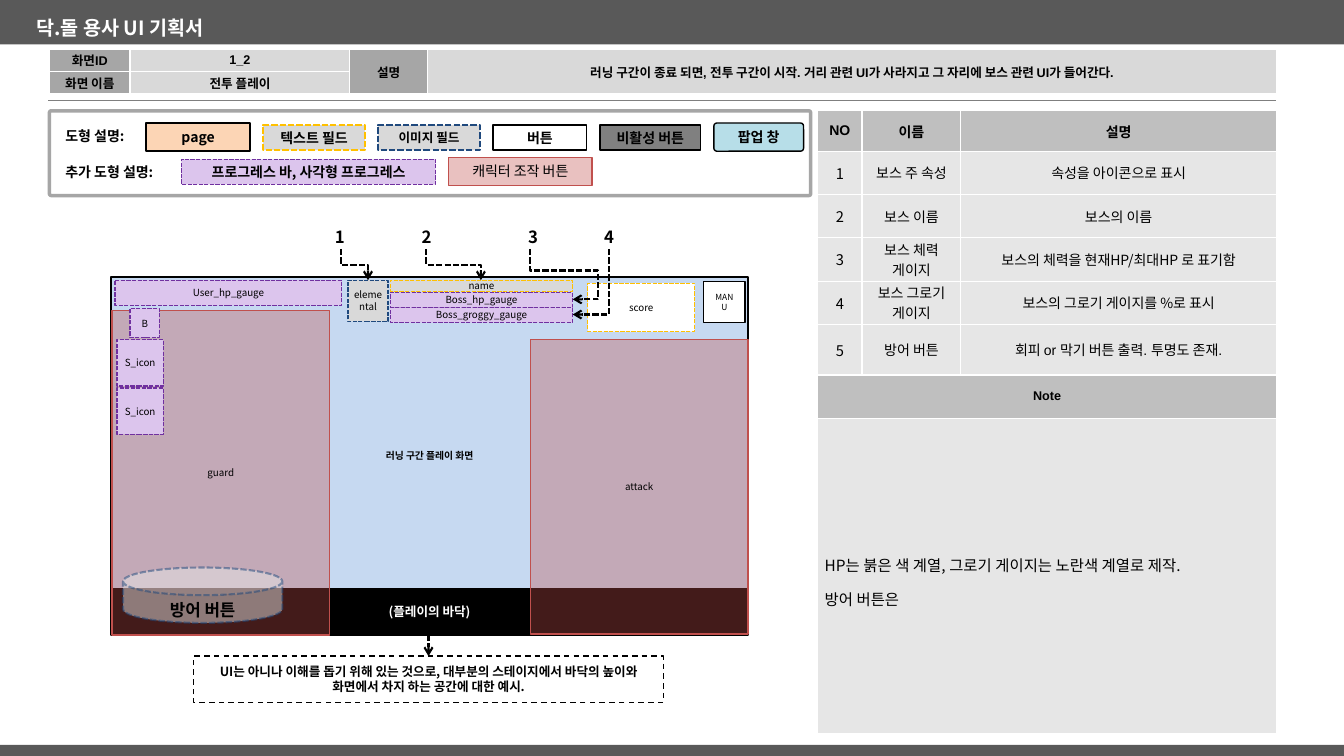
from pptx import Presentation, util as u
from pptx.dml.color import RGBColor
from pptx.enum import dml, shapes, text
from pptx.oxml import parse_xml
from pptx.oxml.ns import nsdecls, qn
from lxml import etree

# Theme
T = dict(font="Noto Sans CJK KR", latin="Arial", ink="000000", white="FFFFFF",
         bar="595959", rule="7F7F7F", frame="A6A6A6", head="BFBFBF",
         body="E6E6E6", pale="D9D9D9", title=14, mark=12, note=11, num=10.5,
         base=10, small=9, tiny=7, micro=6)
DASH, LONG = dml.MSO_LINE.SQUARE_DOT, dml.MSO_LINE.DASH
RECT, CAN = shapes.MSO_SHAPE.RECTANGLE, shapes.MSO_SHAPE.CAN
ROUND = shapes.MSO_SHAPE.ROUNDED_RECTANGLE

# Looks: fill, line, dash, fill opacity in percent
LOOK = {
    "page": ("FCD5B5", T["ink"], None, 100),
    "text": (T["pale"], "FFC000", DASH, 100),
    "image": (T["pale"], "1F497D", DASH, 100),
    "button": (T["white"], T["ink"], None, 100),
    "off": ("808080", T["ink"], None, 100),
    "popup": ("B7DEE8", T["ink"], None, 100),
    "gauge": ("DCC5ED", "7030A0", DASH, 100),
    "touch": ("C0504D", "C0504D", None, 35),
    "score": (T["white"], "FFC000", DASH, 100),
    "field": ("C6D9F1", T["ink"], None, 100),
    "floor": (T["ink"], T["ink"], None, 100),
    "remark": (T["white"], T["ink"], LONG, 100),
    "guard": (T["pale"], "1F497D", DASH, 50),
    "plain": (T["white"], None, None, 100),
    "bar": (T["bar"], None, None, 100),
    "frame": (None, T["frame"], None, 100),
}

# Content
TITLE = "닥.돌 용사 UI 기획서"
INFO = [["화면ID", "1_2", "설명", "러닝 구간이 종료 되면, 전투 구간이 시작. 거리 관련 UI가 "
         "사라지고 그 자리에 보스 관련 UI가 들어간다."],
        ["화면 이름", "전투 플레이", "", ""]]
SPEC = [["NO", "이름", "설명"],
        ["1", "보스 주 속성", "속성을 아이콘으로 표시"],
        ["2", "보스 이름", "보스의 이름"],
        ["3", "보스 체력 게이지", "보스의 체력을 현재HP/최대HP 로 표기함"],
        ["4", "보스 그로기 게이지", "보스의 그로기 게이지를 %로 표시"],
        ["5", "방어 버튼", "회피 or 막기 버튼 출력. 투명도 존재."],
        ["Note", "", ""],
        ["HP는 붉은 색 계열, 그로기 게이지는 노란색 계열로 제작.\n방어 버튼은", "", ""]]
LABELS = [("도형 설명:", 1.22, 0.85), ("추가 도형 설명:", 1.57, 1.18)]
LEGEND = [
    ("page", "page", (1.45, 1.22, 1.03, 0.28), {}),
    ("버튼", "button", (4.89, 1.24, 0.93, 0.25), {}),
    ("팝업 창", "popup", (7.08, 1.22, 0.89, 0.28),
     dict(form=ROUND, adj=0.109, top=True)),
    ("텍스트 필드", "text", (2.61, 1.24, 1.01, 0.25), dict(wide=1.5)),
    ("비활성 버튼", "off", (5.95, 1.24, 1, 0.25), {}),
    ("", "frame", (0.49, 1.1, 7.55, 0.84), dict(form=ROUND, adj=0.021, wide=2.5)),
    ("이미지 필드", "image", (3.75, 1.24, 1.01, 0.25),
     dict(wide=1.5, size=T["small"])),
    ("프로그레스 바, 사각형 프로그레스", "gauge", (1.8, 1.58, 2.52, 0.25), {}),
    ("캐릭터 조작 버튼", "touch", (4.45, 1.56, 1.42, 0.28), dict(bold=False)),
]
MOCK = [
    ("러닝 구간 플레이 화면", "field", (1.1, 2.75, 6.32, 3.54), dict(bold=True)),
    ("(플레이의 바닥)", "floor", (1.1, 5.84, 6.32, 0.46),
     dict(bold=True, size=T["small"], color=T["white"])),
    ("guard", "touch", (1.11, 3.08, 2.16, 3.22), {}),
    ("attack", "touch", (5.26, 3.37, 2.16, 2.92), {}),
    ("score", "score", (5.83, 2.81, 1.06, 0.48), {}),
    ("B", "gauge", (1.29, 3.06, 0.29, 0.29), {}),
    ("S_icon", "gauge", (1.16, 3.37, 0.46, 0.46), dict(pad=0.04)),
    ("S_icon", "gauge", (1.16, 3.85, 0.46, 0.46), dict(pad=0.04)),
    ("User_hp_gauge", "gauge", (1.14, 2.78, 2.25, 0.25), {}),
    ("MANU", "button", (6.98, 2.79, 0.41, 0.41), dict(size=T["micro"])),
    ("UI는 아니나 이해를 돕기 위해 있는 것으로, 대부분의 스테이지에서 바닥의 높이와 "
     "화면에서 차지 하는 공간에 대한 예시.", "remark", (1.92, 6.51, 4.66, 0.46),
     dict(bold=True, size=T["small"])),
    ("Boss_hp_gauge", "gauge", (3.87, 2.9, 1.81, 0.15), {}),
    ("Boss_groggy_gauge", "gauge", (3.87, 3.05, 1.81, 0.15), {}),
    ("name", "text", (3.87, 2.78, 1.81, 0.11), {}),
    ("elemental", "image", (3.45, 2.78, 0.4, 0.41), dict(pad=0.04)),
    ("방어 버튼", "guard", (1.22, 5.63, 1.58, 0.55),
     dict(form=CAN, adj=0.5, wide=1.5, size=T["mark"], bold=True, top=True)),
]
MARKS = [("1", 2.98, 0.78), ("2", 3.84, 0.78), ("3", 5.14, 0.25), ("4", 5.65, 0.78)]
# Arrows leave downward: start, end, bend shares
ARROWS = [((4.25, 6.3), (4.25, 6.51), None),
          ((3.38, 2.47), (3.65, 2.78), [0.5]),
          ((4.23, 2.47), (4.77, 2.78), [0.5]),
          ((5.26, 2.47), (5.68, 2.97), [0.428, 1.605]),
          ((6.04, 2.47), (5.68, 3.12), [])]

deck = Presentation()
deck.slide_width, deck.slide_height = u.Inches(13.33), u.Inches(7.5)
page = deck.slides.add_slide(deck.slide_layouts[5])
pool = page.shapes


def rgb(code):
    return RGBColor.from_string(code)


def box(*nums):
    return [u.Inches(n) for n in nums]


def write(frame, words, size, bold=False, color=T["ink"], font=T["font"],
          align=text.PP_ALIGN.CENTER, gap=None):
    for i, line in enumerate(words.split("\n")):
        para = frame.paragraphs[0] if i == 0 else frame.add_paragraph()
        para.alignment, para.line_spacing = align, gap
        run = para.add_run()
        run.text = line
        run.font.color.rgb = rgb(color)
        for key, val in dict(size=u.Pt(size), bold=bold, name=font).items():
            setattr(run.font, key, val)
        east = etree.SubElement(run.font._element, qn("a:ea"))
        east.set("typeface", T["font"])


def fade(item, share):
    for tint in item._element.spPr.iter(qn("a:srgbClr")):
        etree.SubElement(tint, qn("a:alpha")).set("val", str(share * 1000))


def block(words, look, area, form=RECT, adj=None, wide=1, pad=None, top=False, **type_):
    fill, edge, dash, share = LOOK[look]
    item = pool.add_shape(form, *box(*area))
    item.shadow.inherit = False
    if adj is not None:
        item.adjustments[0] = adj
    if fill:
        item.fill.solid()
        item.fill.fore_color.rgb = rgb(fill)
    else:
        item.fill.background()
    if share < 100 and look != "guard":
        fade(item, share)
    if edge:
        item.line.color.rgb = rgb(edge)
        item.line.width, item.line.dash_style = u.Pt(wide), dash
    else:
        item.line.fill.background()
    if look == "guard":
        fade(item, share)
    frame = item.text_frame
    frame.word_wrap = True
    frame.vertical_anchor = text.MSO_ANCHOR.TOP if top else text.MSO_ANCHOR.MIDDLE
    if pad is not None:
        frame.margin_left = frame.margin_right = u.Inches(pad)
    if words:
        write(frame, words, **type_)


def link(start, end, color, wide, kind=shapes.MSO_CONNECTOR.STRAIGHT):
    item = pool.add_connector(kind, *box(*start, *end))
    item.line.color.rgb, item.line.width = rgb(color), u.Pt(wide)
    return item


def arrow(start, end, bends):
    (x1, y1), (x2, y2) = start, end
    if bends is None:
        item = link(start, end, T["ink"], 1.5)
    else:
        # A quarter turn makes the elbow leave downward
        mx, my, dx, dy = (x1 + x2) / 2, (y1 + y2) / 2, abs(x2 - x1) / 2, (y2 - y1) / 2
        item = link((mx - dy, my - dx), (mx + dy, my + dx), T["ink"], 1.5,
                    shapes.MSO_CONNECTOR.ELBOW)
        right, props = x2 > x1, item._element.spPr
        form = props.find(qn("a:xfrm"))
        form.set("rot", str((270 if right else 90) * 60000))
        if right:
            form.set("flipH", "1")
        geom = props.find(qn("a:prstGeom"))
        geom.set("prst", f"bentConnector{len(bends) + 2}")
        for i, bend in enumerate(bends, 1):
            guide = etree.SubElement(geom.find(qn("a:avLst")), qn("a:gd"))
            guide.set("name", f"adj{i}")
            guide.set("fmla", f"val {round(bend * 100000)}")
    item.line.dash_style = DASH
    etree.SubElement(item.line._get_or_add_ln(), qn("a:tailEnd")).set("type", "arrow")
    etree.SubElement(item._element.spPr, qn("a:effectLst"))


def grid(rows, area, cols, highs, merges, style):
    table = pool.add_table(len(rows), len(cols), *box(*area)).table
    table.first_row = table.horz_banding = False
    for part, sizes, key in ((table.columns, cols, "width"), (table.rows, highs, "height")):
        for one, size in zip(part, sizes):
            setattr(one, key, u.Inches(size))
    for a, b in merges:
        table.cell(*a).merge(table.cell(*b))
    for r, row in enumerate(rows):
        for c, words in enumerate(row):
            cell = table.cell(r, c)
            fill, pad, type_ = style(r, c)
            cell.vertical_anchor = text.MSO_ANCHOR.MIDDLE
            cell.margin_left = cell.margin_right = u.Inches(pad)
            cell.margin_top = cell.margin_bottom = u.Inches(0.01)
            cell.fill.solid()
            cell.fill.fore_color.rgb = rgb(fill)
            for i, side in enumerate("LRTB"):
                cell._tc.tcPr.insert(i, parse_xml(
                    f'<a:ln{side} {nsdecls("a")} w="12700"><a:solidFill>'
                    f'<a:srgbClr val="{T["white"]}"/></a:solidFill></a:ln{side}>'))
            if words:
                write(cell.text_frame, words, **type_)


def info_style(r, c):
    return (T["pale"] if c % 2 else T["frame"], 0.04,
            dict(size=T["small"], bold=True, font=T["latin"]))


def spec_style(r, c):
    if r in (0, 6):
        size = T["small"] if r else T["base"]
        return T["head"], 0.04, dict(size=size, bold=True, font=T["latin"])
    if r == 7:
        return T["body"], 0.07, dict(size=T["note"], gap=1.5, align=text.PP_ALIGN.LEFT)
    return (T["body"], 0.04, dict(size=T["base"] if c else T["num"],
                                  font=T["latin"] if (r, c) == (5, 2) else T["font"]))


# Page bars, rule and title
for y, h in ((0, 0.44), (7.39, 0.11)):
    block("", "bar", (0, y, 13.33, h))
rule = link((0.48, 1), (12.66, 1), T["rule"], 0.75)
etree.SubElement(rule._element.spPr, qn("a:effectLst"))
head = pool.title
head.left, head.top, head.width, head.height = box(0.26, 0.11, 12.7, 0.34)
head.text_frame.vertical_anchor = text.MSO_ANCHOR.TOP
head.text_frame.auto_size = text.MSO_AUTO_SIZE.NONE
write(head.text_frame, TITLE, T["title"], True, T["white"], align=text.PP_ALIGN.LEFT)
pool._spTree.append(head._element)

# Screen facts
grid(INFO, (0.49, 0.49, 12.17, 0.44), (0.8, 2.18, 0.77, 8.42), (0.22, 0.22),
     [((0, 2), (1, 2)), ((0, 3), (1, 3))], info_style)

# Legend
for words, look, area, more in LEGEND:
    block(words, look, area, **{"size": T["base"], "bold": True, **more})
for words, y, w in LABELS:
    label = pool.add_textbox(*box(0.55, y, w, 0.27)).text_frame
    label.word_wrap = False
    write(label, words, T["base"], True, align=text.PP_ALIGN.LEFT)

# Screen mock-up with numbered arrows
for words, x, w in MARKS:
    block(words, "plain", (x, 2.24, w, 0.22), size=T["mark"], bold=True)
for words, look, area, more in MOCK:
    block(words, look, area, **{"size": T["tiny"], **more})
for route in ARROWS:
    arrow(*route)

# Parts table
grid(SPEC, (8.11, 1.1, 4.55, 6.18), (0.44, 0.98, 3.13),
     (0.4, 0.43, 0.43, 0.43, 0.43, 0.5, 0.43, 3.13),
     [((r, 0), (r, 2)) for r in (6, 7)], spec_style)

deck.save("out.pptx")
